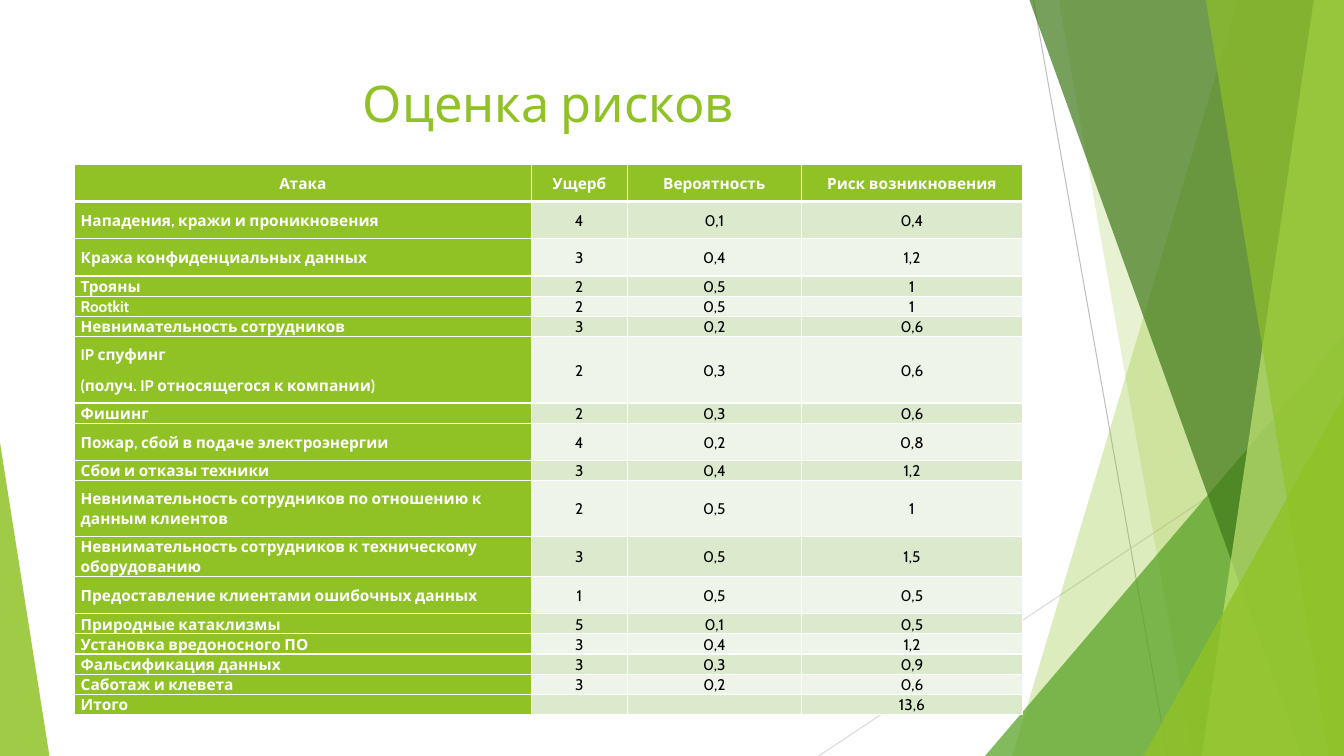
from lxml import etree
from pptx import Presentation
from pptx.dml.color import RGBColor
from pptx.enum.shapes import MSO_CONNECTOR, MSO_SHAPE
from pptx.enum.text import MSO_ANCHOR, PP_ALIGN
from pptx.oxml.ns import qn
from pptx.util import Inches, Pt

STRAIGHT = MSO_CONNECTOR.STRAIGHT
TRIANGLE = MSO_SHAPE.ISOSCELES_TRIANGLE
CENTER, LEFT = PP_ALIGN.CENTER, PP_ALIGN.LEFT
TOP, MIDDLE = MSO_ANCHOR.TOP, MSO_ANCHOR.MIDDLE

FONT = "Cabin"
COLORS = {
    "lime": "90C226",
    "green": "54A021",
    "forest": "3F7819",
    "pale": "C0E474",
    "band_dark": "DBE9CD",
    "band_light": "EEF4E8",
    "line_dark": "BFBFBF",
    "line_light": "D9D9D9",
    "white": "FFFFFF",
    "black": "000000",
}
WIDTH, HEIGHT = 13.33, 7.5

COLUMN_WIDTHS = [4.53, 0.95, 1.73, 2.19]
HEADINGS = ["Атака", "Ущерб", "Вероятность", "Риск возникновения"]
HEADING_HEIGHT = 0.37
# Row height, attack, damage, probability, risk
RISKS = [
    (0.37, "Нападения, кражи и проникновения", "4", "0,1", "0,4"),
    (0.37, "Кража конфиденциальных данных", "3", "0,4", "1,2"),
    (0.2, "Трояны", "2", "0,5", "1"),
    (0.2, "Rootkit", "2", "0,5", "1"),
    (0.2, "Невнимательность сотрудников", "3", "0,2", "0,6"),
    (0.66, "IP спуфинг\n(получ. IP относящегося к компании)", "2", "0,3", "0,6"),
    (0.2, "Фишинг", "2", "0,3", "0,6"),
    (0.37, "Пожар, сбой в подаче электроэнергии", "4", "0,2", "0,8"),
    (0.2, "Сбои и отказы техники", "3", "0,4", "1,2"),
    (0.55, "Невнимательность сотрудников по отношению к данным клиентов",
     "2", "0,5", "1"),
    (0.4, "Невнимательность сотрудников к техническому оборудованию",
     "3", "0,5", "1,5"),
    (0.37, "Предоставление клиентами ошибочных данных", "1", "0,5", "0,5"),
    (0.2, "Природные катаклизмы", "5", "0,1", "0,5"),
    (0.2, "Установка вредоносного ПО", "3", "0,4", "1,2"),
    (0.2, "Фальсификация данных", "3", "0,3", "0,9"),
    (0.2, "Саботаж и клевета", "3", "0,2", "0,6"),
    (0.2, "Итого", "", "", "13,6"),
]


def rgb(name):
    return RGBColor.from_string(COLORS[name])


def paint(shape, color, opacity):
    """Fill a shape with a translucent colour, without outline or shadow."""
    shape.shadow.inherit = False
    shape.line.fill.background()
    shape.fill.solid()
    shape.fill.fore_color.rgb = rgb(color)
    tint = shape.fill._xPr.find(qn("a:solidFill"))[0]
    etree.SubElement(tint, qn("a:alpha"), val=str(opacity * 1000))


def add_thin_line(slide, start, end, color):
    line = slide.shapes.add_connector(
        STRAIGHT, *[Inches(value) for value in start + end])
    line.line.color.rgb = rgb(color)
    line.line.width = Pt(0.75)
    etree.SubElement(line._element.spPr, qn("a:effectLst"))


def add_shard(slide, top_left, top_right, bottom_left, color, opacity):
    """Add a full-height facet that ends at the right edge of the slide."""
    outline = slide.shapes.build_freeform(Inches(top_left), 0, scale=1.0)
    corners = [(top_right, 0), (WIDTH, HEIGHT), (bottom_left, HEIGHT)]
    outline.add_line_segments([(Inches(x), Inches(y)) for x, y in corners])
    paint(outline.convert_to_shape(), color, opacity)


def add_corner(slide, left, top, width, apex, color, opacity):
    """Add a triangle that stands on the bottom edge of the slide."""
    corner = slide.shapes.add_shape(
        TRIANGLE, Inches(left), Inches(top), Inches(width), Inches(HEIGHT - top))
    corner.adjustments[0] = apex
    paint(corner, color, opacity)


def add_facets(slide):
    add_thin_line(slide, (10.25, 0), (11.58, HEIGHT), "line_dark")
    add_thin_line(slide, (WIDTH, 4.03), (8.12, HEIGHT), "line_light")
    add_shard(slide, 12.28, WIDTH, 10.04, "lime", 30)
    add_shard(slide, 10.5, WIDTH, 11.83, "lime", 20)
    add_corner(slide, 9.77, 3.33, 3.56, 1, "green", 72)
    add_shard(slide, 10.21, WIDTH, 12.91, "forest", 70)
    add_shard(slide, 13.03, WIDTH, 11.92, "pale", 70)
    add_shard(slide, 11.96, WIDTH, 13.18, "lime", 65)
    add_corner(slide, 11.34, 3.93, 1.99, 1, "lime", 80)
    add_corner(slide, 0, 4.39, 0.49, 0, "lime", 85)


def format_runs(paragraph, size, color, bold=False):
    for run in paragraph.runs:
        run.font.name = FONT
        run.font.size = Pt(size)
        run.font.bold = bold
        run.font.color.rgb = rgb(color)


def set_title(slide, text):
    title = slide.shapes.title
    title.left, title.top = Inches(0.74), Inches(0.67)
    title.width, title.height = Inches(9.4), Inches(1.44)
    title.text_frame.text = text
    title.text_frame.vertical_anchor = TOP
    heading = title.text_frame.paragraphs[0]
    heading.alignment = CENTER
    format_runs(heading, 36, "lime")


def set_borders(cell, top, bottom):
    """Draw white cell borders; top and bottom are widths in points."""
    properties = cell._tc.get_or_add_tcPr()
    for side, width in (("L", 1), ("R", 1), ("T", top), ("B", bottom)):
        border = etree.SubElement(properties, qn(f"a:ln{side}"), w=str(Pt(width)))
        fill = etree.SubElement(border, qn("a:solidFill"))
        etree.SubElement(fill, qn("a:srgbClr"), val=COLORS["white"])


def fill_cell(cell, text, fill, color, bold, alignment):
    cell.fill.solid()
    cell.fill.fore_color.rgb = rgb(fill)
    cell.vertical_anchor = MIDDLE
    cell.margin_left = cell.margin_right = Inches(0.06)
    cell.margin_top = cell.margin_bottom = 0
    cell.text_frame.text = text
    for paragraph in cell.text_frame.paragraphs:
        paragraph.alignment = alignment
        paragraph.line_spacing = 1.07
        paragraph.space_after = Pt(8)
        format_runs(paragraph, 11, color, bold)
        if not text:
            end = etree.SubElement(paragraph._p, qn("a:endParaRPr"), sz="1100")
            etree.SubElement(end, qn("a:latin"), typeface=FONT)


def add_risk_table(slide):
    rows = [(HEADING_HEIGHT, *HEADINGS), *RISKS]
    heights = [row[0] for row in rows]
    table = slide.shapes.add_table(
        len(rows), len(HEADINGS), Inches(0.74), Inches(1.63),
        Inches(sum(COLUMN_WIDTHS)), Inches(sum(heights))).table
    table.first_col = True
    for column, width in zip(table.columns, COLUMN_WIDTHS):
        column.width = Inches(width)
    for r, (height, *texts) in enumerate(rows):
        table.rows[r].height = Inches(height)
        band = "band_dark" if r % 2 else "band_light"
        for c, text in enumerate(texts):
            cell = table.cell(r, c)
            label = r == 0 or c == 0
            set_borders(cell, 3 if r == 1 else 1, 3 if r == 0 else 1)
            fill_cell(cell, text, "lime" if label else band,
                      "white" if label else "black", label,
                      LEFT if c == 0 and r > 0 else CENTER)


def main():
    deck = Presentation()
    deck.slide_width, deck.slide_height = Inches(WIDTH), Inches(HEIGHT)
    slide = deck.slides.add_slide(deck.slide_layouts[5])
    add_facets(slide)
    set_title(slide, "Оценка рисков")
    add_risk_table(slide)
    deck.save("out.pptx")


if __name__ == "__main__":
    main()
